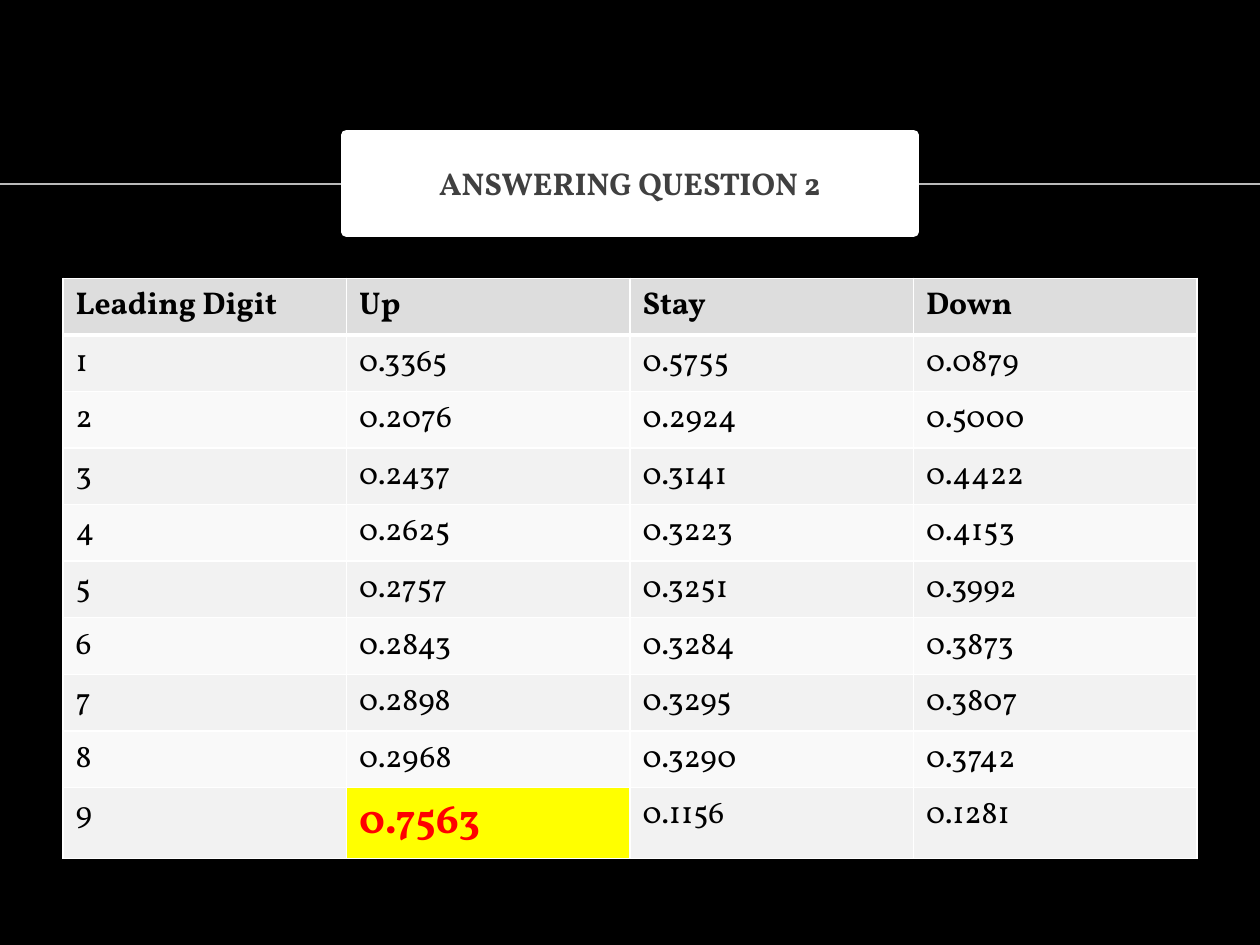
import dataclasses
import typing

import lxml.etree
import pptx
import pptx.dml.color
import pptx.enum.shapes
import pptx.enum.text
import pptx.oxml.ns
import pptx.util
from pptx.util import Inches


@dataclasses.dataclass(frozen=True)
class Theme:
    font: str = "Vollkorn"
    background: str = "000000"
    rule: str = "BABABA"
    white: str = "FFFFFF"
    title: str = "404040"
    text: str = "000000"
    header: str = "DDDDDD"
    bands: tuple[str, str] = ("F2F2F2", "F9F9F9")
    highlight: str = "FFFF00"
    highlight_text: str = "FF0000"
    body_size: int = 18
    highlight_size: int = 24
    thin: int = 1
    thick: int = 3
    title_border: int = 6


class Movement(typing.NamedTuple):
    digit: str
    up: str
    stay: str
    down: str


@dataclasses.dataclass(frozen=True)
class CellStyle:
    fill: str
    color: str
    size: int
    bold: bool
    top: int
    bottom: int


THEME = Theme()
HEADER = Movement("Leading Digit", "Up", "Stay", "Down")
MOVEMENTS = [
    Movement("1", "0.3365", "0.5755", "0.0879"),
    Movement("2", "0.2076", "0.2924", "0.5000"),
    Movement("3", "0.2437", "0.3141", "0.4422"),
    Movement("4", "0.2625", "0.3223", "0.4153"),
    Movement("5", "0.2757", "0.3251", "0.3992"),
    Movement("6", "0.2843", "0.3284", "0.3873"),
    Movement("7", "0.2898", "0.3295", "0.3807"),
    Movement("8", "0.2968", "0.3290", "0.3742"),
    Movement("9", "0.7563", "0.1156", "0.1281"),
]
HIGHLIGHT = (9, 1)


def rgb(value: str) -> pptx.dml.color.RGBColor:
    return pptx.dml.color.RGBColor.from_string(value)


def set_text(frame: typing.Any, text: str, color: str, size: int, bold: bool) -> None:
    frame.text = text
    font = frame.paragraphs[0].runs[0].font
    font.name = THEME.font
    font.size = pptx.util.Pt(size)
    font.bold = bold
    font.color.rgb = rgb(color)


def set_borders(cell: typing.Any, top: int, bottom: int) -> None:
    properties = cell._tc.get_or_add_tcPr()
    widths = {"lnL": THEME.thin, "lnR": THEME.thin, "lnT": top, "lnB": bottom}
    for index, (side, width) in enumerate(widths.items()):
        line = lxml.etree.Element(pptx.oxml.ns.qn(f"a:{side}"), w=str(pptx.util.Pt(width)))
        fill = lxml.etree.SubElement(line, pptx.oxml.ns.qn("a:solidFill"))
        lxml.etree.SubElement(fill, pptx.oxml.ns.qn("a:srgbClr"), val=THEME.white)
        properties.insert(index, line)


def cell_style(row: int, column: int) -> CellStyle:
    top = THEME.thick if row == 1 else THEME.thin
    if row == 0:
        return CellStyle(THEME.header, THEME.text, THEME.body_size, True, top, THEME.thick)
    if (row, column) == HIGHLIGHT:
        return CellStyle(THEME.highlight, THEME.highlight_text, THEME.highlight_size,
                         True, top, THEME.thin)
    band = THEME.bands[(row - 1) % 2]
    return CellStyle(band, THEME.text, THEME.body_size, False, top, THEME.thin)


def draw_rule(page: typing.Any) -> None:
    rule = page.shapes.add_connector(
        pptx.enum.shapes.MSO_CONNECTOR.STRAIGHT,
        Inches(0), Inches(1.46), Inches(10), Inches(1.46))
    rule.line.color.rgb = rgb(THEME.rule)
    rule.line.width = pptx.util.Pt(THEME.thin)
    lxml.etree.SubElement(rule._element.spPr, pptx.oxml.ns.qn("a:effectLst"))


def draw_table(page: typing.Any) -> None:
    rows = [HEADER, *MOVEMENTS]
    table = page.shapes.add_table(
        len(rows), len(HEADER), Inches(0.5), Inches(2.21), Inches(9), Inches(4.15)).table
    table.first_row = False
    table.horz_banding = False
    for row, values in enumerate(rows):
        table.rows[row].height = Inches(0.41)
        for column, value in enumerate(values):
            cell = table.cell(row, column)
            style = cell_style(row, column)
            set_text(cell.text_frame, value, style.color, style.size, style.bold)
            cell.fill.solid()
            cell.fill.fore_color.rgb = rgb(style.fill)
            set_borders(cell, style.top, style.bottom)


def draw_title(page: typing.Any) -> None:
    box = page.shapes.add_shape(
        pptx.enum.shapes.MSO_SHAPE.RECTANGLE,
        Inches(2.75), Inches(1.07), Inches(4.5), Inches(0.77))
    box.shadow.inherit = False
    box.fill.solid()
    box.fill.fore_color.rgb = rgb(THEME.white)
    box.line.color.rgb = rgb(THEME.white)
    box.line.width = pptx.util.Pt(THEME.title_border)
    frame = box.text_frame
    frame.word_wrap = True
    frame.vertical_anchor = pptx.enum.text.MSO_ANCHOR.MIDDLE
    set_text(frame, "ANSWERING QUESTION 2", THEME.title, THEME.body_size, True)
    para = frame.paragraphs[0]
    para.alignment = pptx.enum.text.PP_ALIGN.CENTER
    para.space_before = pptx.util.Pt(4)


def main() -> None:
    deck = pptx.Presentation()
    deck.slide_width = Inches(10)
    deck.slide_height = Inches(7.5)
    page = deck.slides.add_slide(deck.slide_layouts[6])
    page.background.fill.solid()
    page.background.fill.fore_color.rgb = rgb(THEME.background)
    draw_rule(page)
    draw_table(page)
    draw_title(page)
    deck.save("out.pptx")


if __name__ == "__main__":
    main()
